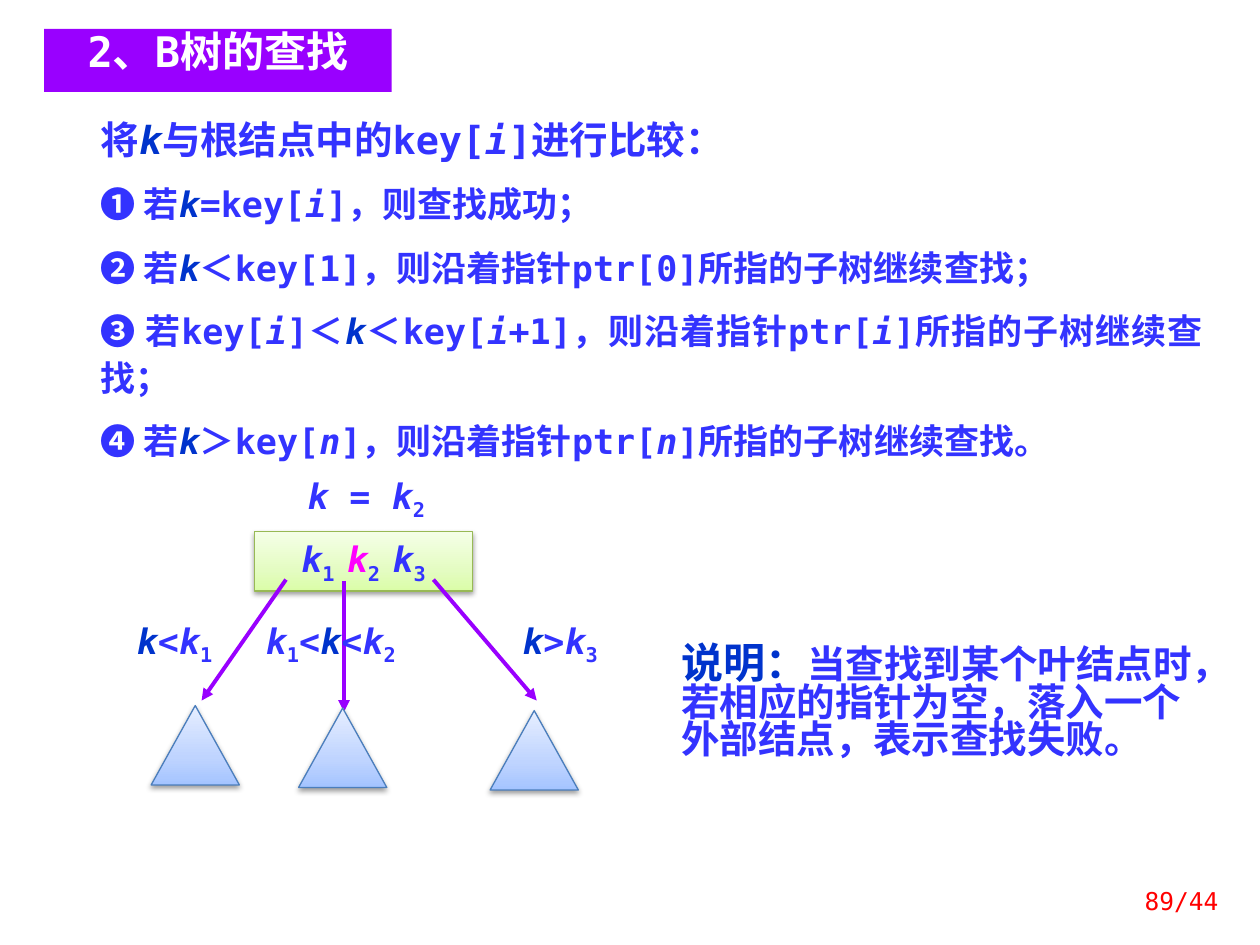
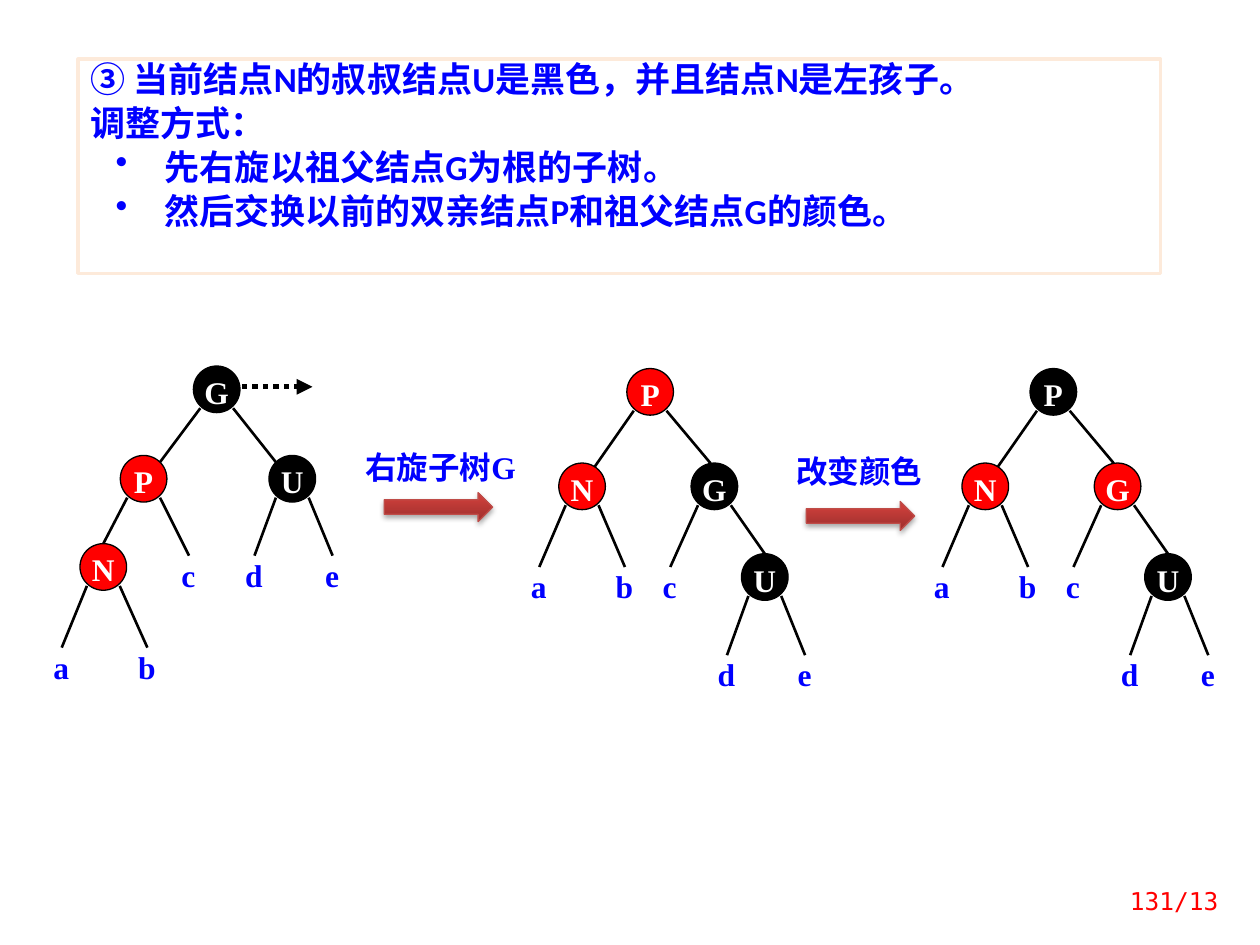
"""Build two slides on B-tree search and red-black tree rotation."""
import math

from lxml import etree
from pptx import Presentation
from pptx import util as u
from pptx.dml.color import RGBColor
from pptx.enum import dml, lang, shapes, text
from pptx.oxml import parse_xml
from pptx.oxml.ns import nsdecls, qn

COLORS = {
    "white": "FFFFFF", "black": "000000", "red": "FF0000", "purple": "9900FF",
    "body": "3333FF", "key": "0033CC", "pink": "FF00FF", "blue": "0000FF",
    "frame": "FDEADA", "green_line": "98B955", "sky_line": "4B7EBC", "arrow_line": "BF4C48",
}
GRADIENTS = {
    "green": [(0, "DAFDA7"), (35, "E4FCC2"), (100, "F5FFE7")],
    "sky": [(0, "A4C4FF"), (35, "BFD4FF"), (100, "E6EEFF")],
    "arrow": [(0, "9C2F2D"), (80, "CB3E3A"), (100, "CE3B37")],
}
MONO, SANS, SERIF = "DejaVu Sans Mono", "Calibri", "Times New Roman"
MARKS = {
    "^": {"color": "key", "italic": True},
    "!": {"color": "pink", "italic": True},
    "/": {"italic": True},
    "_": {"sub": True},
    "#": {"color": "key", "size": 24},
}
ALIGN = {"l": text.PP_ALIGN.LEFT, "c": text.PP_ALIGN.CENTER,
         "r": text.PP_ALIGN.RIGHT, "j": text.PP_ALIGN.JUSTIFY}
SHAPE = shapes.MSO_SHAPE
RADIUS = 0.185


class Deck:
    """Hold the shared style and the current slide."""

    def __init__(self):
        self.prs = Presentation()
        self.prs.slide_width, self.prs.slide_height = u.Inches(10), u.Inches(7.5)
        self.s = None

    def new_slide(self, number):
        """Start a blank slide with its red page number."""
        self.s = self.prs.slides.add_slide(self.prs.slide_layouts[6])
        self.box((8.63, 6.95, 1.14, 0.4), [number], size=14, color="red",
                 bold=False, align="r", middle=True)

    def add_run(self, p, part, size, color, font, bold):
        """Add one run, styled by its leading mark if it has one."""
        mark = MARKS.get(part[0], {})
        r = p.add_run()
        r.text = part[1:] if mark else part
        f = r.font
        f.name, f.bold, f.italic = font, bold, mark.get("italic", False)
        f.size = u.Pt(mark.get("size", size))
        f.color.rgb = RGBColor.from_string(COLORS[mark.get("color", color)])
        f.language_id = lang.MSO_LANGUAGE_ID.SIMPLIFIED_CHINESE
        if mark.get("sub"):
            r._r.get_or_add_rPr().set("baseline", "-25000")

    def label(self, sp, lines, size=20, color="body", font=MONO, bold=True, align="l",
              spacing=1.0, before=0, middle=False, inset=None, wrap=True):
        """Fill a shape with paragraphs whose runs are parted by bars."""
        tf = sp.text_frame
        tf.word_wrap = wrap
        tf.vertical_anchor = text.MSO_ANCHOR.MIDDLE if middle else text.MSO_ANCHOR.TOP
        if inset is not None:
            tf.margin_left = tf.margin_right = tf.margin_top = tf.margin_bottom = inset
        for i, line in enumerate(lines):
            p = tf.add_paragraph() if i else tf.paragraphs[0]
            p.alignment, p.line_spacing = ALIGN[align], spacing
            if i:
                p.space_before = u.Pt(before)
            for part in line.split("|"):
                self.add_run(p, part, size, color, font, bold)
        return tf

    def box(self, at, lines, **style):
        """Add a text box."""
        sp = self.s.shapes.add_textbox(*map(u.Inches, at))
        return self.label(sp, lines, **style)

    def shape(self, kind, at, fill, line=None, width=0.75):
        """Add a flat preset shape."""
        sp = self.s.shapes.add_shape(kind, *map(u.Inches, at))
        sp.shadow.inherit = False
        sp.fill.solid()
        sp.fill.fore_color.rgb = RGBColor.from_string(COLORS[fill])
        if line:
            sp.line.color.rgb = RGBColor.from_string(COLORS[line])
            sp.line.width = u.Pt(width)
        else:
            sp.line.fill.background()
        return sp

    def glossy(self, kind, at, name, alpha=38, dist=20000):
        """Add a preset shape with a vertical gradient and a soft shadow."""
        sp = self.shape(kind, at, "white", name + "_line")
        stops = "".join(f'<a:gs pos="{pos * 1000}"><a:srgbClr val="{c}"/></a:gs>'
                        for pos, c in GRADIENTS[name])
        pr = sp._element.spPr
        pr.replace(pr.find(qn("a:solidFill")), parse_xml(
            f'<a:gradFill {nsdecls("a")} rotWithShape="1"><a:gsLst>{stops}</a:gsLst>'
            '<a:lin ang="16200000" scaled="1"/></a:gradFill>'))
        pr.find(qn("a:effectLst")).append(parse_xml(
            f'<a:outerShdw {nsdecls("a")} blurRad="40000" dist="{dist}" dir="5400000" '
            f'rotWithShape="0"><a:srgbClr val="000000"><a:alpha val="{alpha * 1000}"/>'
            '</a:srgbClr></a:outerShdw>'))
        return sp

    def line(self, start, end, color="black", width=1.5, arrow=False, dash=None):
        """Add a straight line, with an arrowhead if asked."""
        c = self.s.shapes.add_connector(shapes.MSO_CONNECTOR.STRAIGHT,
                                        *map(u.Inches, (*start, *end)))
        c.line.color.rgb = RGBColor.from_string(COLORS[color])
        c.line.width = u.Pt(width)
        if dash:
            c.line.dash_style = dash
        if arrow:
            etree.SubElement(c.line._get_or_add_ln(), qn("a:tailEnd"), type="triangle")
        etree.SubElement(c._element.spPr, qn("a:effectLst"))

    def indent(self, p, left, first, bullet=None):
        """Give a paragraph a hanging indent and perhaps a bullet."""
        pr = p._p.get_or_add_pPr()
        pr.set("marL", str(u.Inches(left)))
        pr.set("indent", str(u.Inches(first)))
        if bullet:
            etree.SubElement(pr, qn("a:buChar"), char=bullet)

    def tree(self, nodes, leaves, edges, reds, shift=0):
        """Draw a binary tree; a node is centre x, centre y and edge entry offset."""
        for parent, child in edges:
            x, y, _ = nodes[parent]
            if child in nodes:
                cx, cy, dx = nodes[child]
                end = cx + dx, cy - math.sqrt(RADIUS ** 2 - dx ** 2)
            else:
                end = leaves[child]
            side = math.copysign(0.13, end[0] - x)
            self.line((x + side + shift, y + 0.15), (end[0] + shift, end[1]))
        for name, (x, y, _) in nodes.items():
            at = (x - RADIUS + shift, y - RADIUS, 2 * RADIUS, 2 * RADIUS)
            sp = self.shape(SHAPE.OVAL, at, "red" if name in reds else "black", "black")
            self.label(sp, [name], size=18, color="white", font=SERIF, align="c", inset=0)
        for name, (x, y) in leaves.items():
            self.box((x - 0.1 + shift, y, 0.19, 0.27), [name], size=18, color="blue",
                     font=SERIF, align="c", inset=0)

    def step(self, caption, caption_at, arrow_at):
        """Add a captioned block arrow between two trees."""
        self.box((*caption_at, 1.32, 0.27), [caption], size=18, color="blue",
                 font=SERIF, inset=0)
        self.glossy(SHAPE.RIGHT_ARROW, (*arrow_at, 0.86, 0.23), "arrow", 35, 23000)


def search_slide(d):
    """Show how a key is looked up in a B-tree."""
    d.new_slide("89/44")
    tf = d.box((0.7, 0.97, 8.94, 2.49), [
        "将|^k|与根结点中的key[|/i|]进行比较：",
        "❶ 若|^k|=key[|/i|]，则查找成功；",
        "❷ 若|^k|＜key[1]，则沿着指针ptr[0]所指的子树继续查找；",
        "❸ 若key[|/i|]＜|^k|＜key[|/i|+1]，则沿着指针ptr[|/i|]所指的子树继续查找；",
        "❹ 若|^k|＞key[|/n|]，则沿着指针ptr[|/n|]所指的子树继续查找。",
    ], align="j", spacing=u.Pt(26.4), before=10)
    lead = tf.paragraphs[0]
    lead.line_spacing = 0.7
    for r in lead.runs:
        r.font.size = u.Pt(22)

    title = d.shape(SHAPE.RECTANGLE, (0.35, 0.23, 2.76, 0.5), "purple")
    tf = d.label(title, ["2、B树的查找"], size=24, color="white", align="c", spacing=0.8)
    d.indent(tf.paragraphs[0], 0.5, -0.5)

    root = d.glossy(SHAPE.RECTANGLE, (2.02, 4.22, 1.73, 0.47), "green")
    d.label(root, ["/k|_1 |!k|_2 |/k|_3"], align="c", spacing=0.8, middle=True, wrap=False)
    branches = [
        ((2.73, 4.61), (2.73, 5.65), "/k|_1|/<|^k|/<k|_2", (1.8, 1.65), (2.37, 5.62)),
        ((3.44, 4.6), (4.26, 5.56), "^k|/>k|_3", (3.89, 1.11), (3.89, 5.64)),
        ((2.27, 4.6), (1.6, 5.56), "^k|/<k|_1", (0.83, 1.11), (1.2, 5.6)),
    ]
    for start, end, condition, (left, width), subtree in branches:
        d.line(start, end, "purple", 2.25, arrow=True)
        d.box((left, 4.9, width, 0.44), [condition], align="c", spacing=0.8)
        d.glossy(SHAPE.ISOSCELES_TRIANGLE, (*subtree, 0.7, 0.63), "sky")

    d.box((5.31, 5.08, 4.3, 1.25), [
        "#说明：|当查找到某个叶结点时，若相应的指针为空，落入一个外部结点，表示查找失败。",
    ], size=22, spacing=0.8)
    d.box((2.34, 3.75, 1.25, 0.44), ["/k| =|/ k|_2"], spacing=0.8)


def rotation_slide(d):
    """Show a right rotation and recolouring of a red-black tree."""
    d.new_slide("131/13")
    frame = d.shape(SHAPE.RECTANGLE, (0.62, 0.47, 8.59, 1.7), "white", "frame", 2)
    tf = d.label(frame, [
        "③ 当前结点N的叔叔结点U是黑色，并且结点N是左孩子。",
        "调整方式：",
        "先右旋以祖父结点G为根的子树。",
        "然后交换以前的双亲结点P和祖父结点G的颜色。",
    ], color="blue", font=SANS, spacing=0.8, before=6)
    for p in tf.paragraphs[2:]:
        d.indent(p, 0.59, -0.39, "•")

    d.tree({"G": (1.72, 3.09, 0), "P": (1.14, 3.8, 0.13), "N": (0.82, 4.5, 0),
            "U": (2.32, 3.8, -0.13)},
           {"a": (0.49, 5.14), "b": (1.17, 5.14), "c": (1.5, 4.41),
            "d": (2.02, 4.41), "e": (2.64, 4.41)},
           ["GP", "GU", "PN", "Pc", "Ud", "Ue", "Na", "Nb"], "PN")
    d.line((1.92, 3.07), (2.48, 3.07), width=3, arrow=True,
           dash=dml.MSO_LINE.ROUND_DOT)

    rotated = (
        {"P": (5.16, 3.11, 0), "N": (4.62, 3.86, 0.1), "G": (5.67, 3.86, -0.03),
         "U": (6.07, 4.58, 0)},
        {"a": (4.28, 4.5), "b": (4.96, 4.5), "c": (5.32, 4.5),
         "d": (5.77, 5.2), "e": (6.39, 5.2)},
        ["PN", "PG", "Na", "Nb", "Gc", "GU", "Ud", "Ue"],
    )
    d.tree(*rotated, "PN")
    d.tree(*rotated, "NG", shift=3.2)
    d.step("右旋子树G", (2.9, 3.56), (3.05, 3.91))
    d.step("改变颜色", (6.32, 3.59), (6.4, 3.98))


def main():
    """Build and save the deck."""
    d = Deck()
    search_slide(d)
    rotation_slide(d)
    d.prs.save("out.pptx")


if __name__ == "__main__":
    main()
